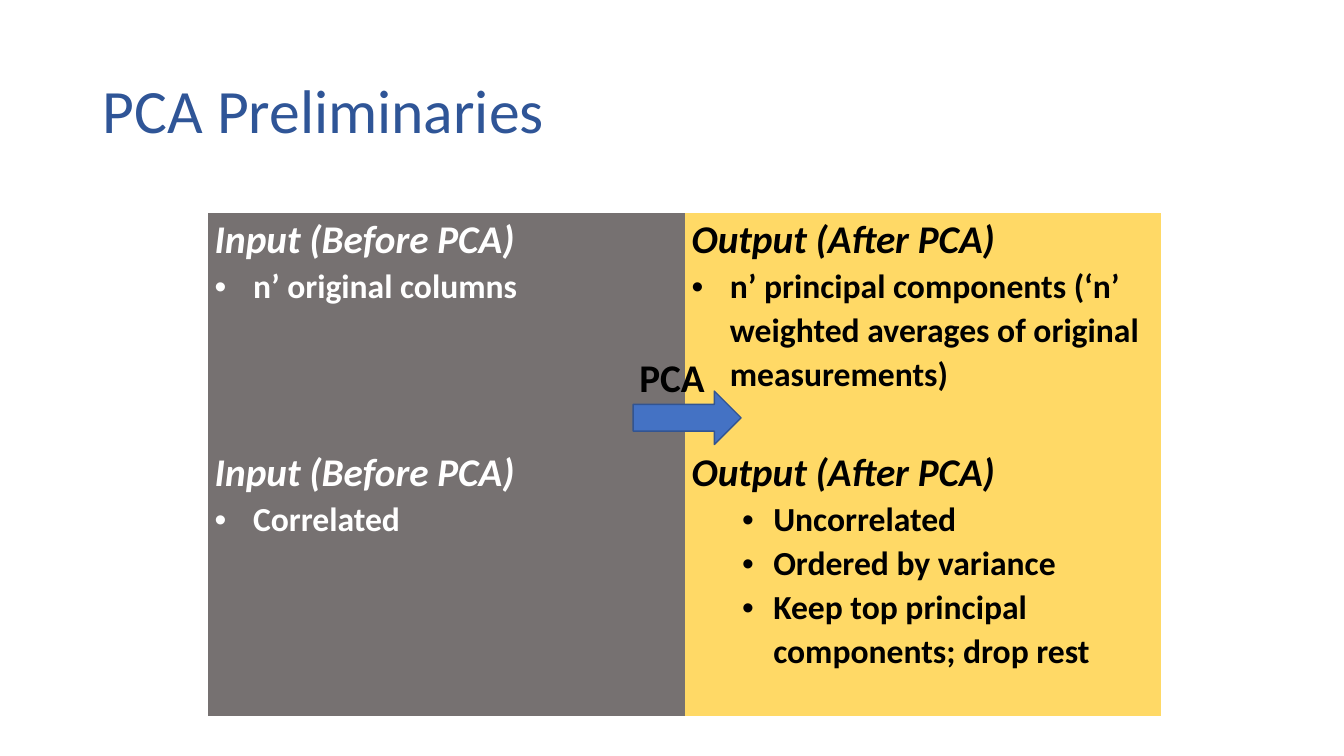
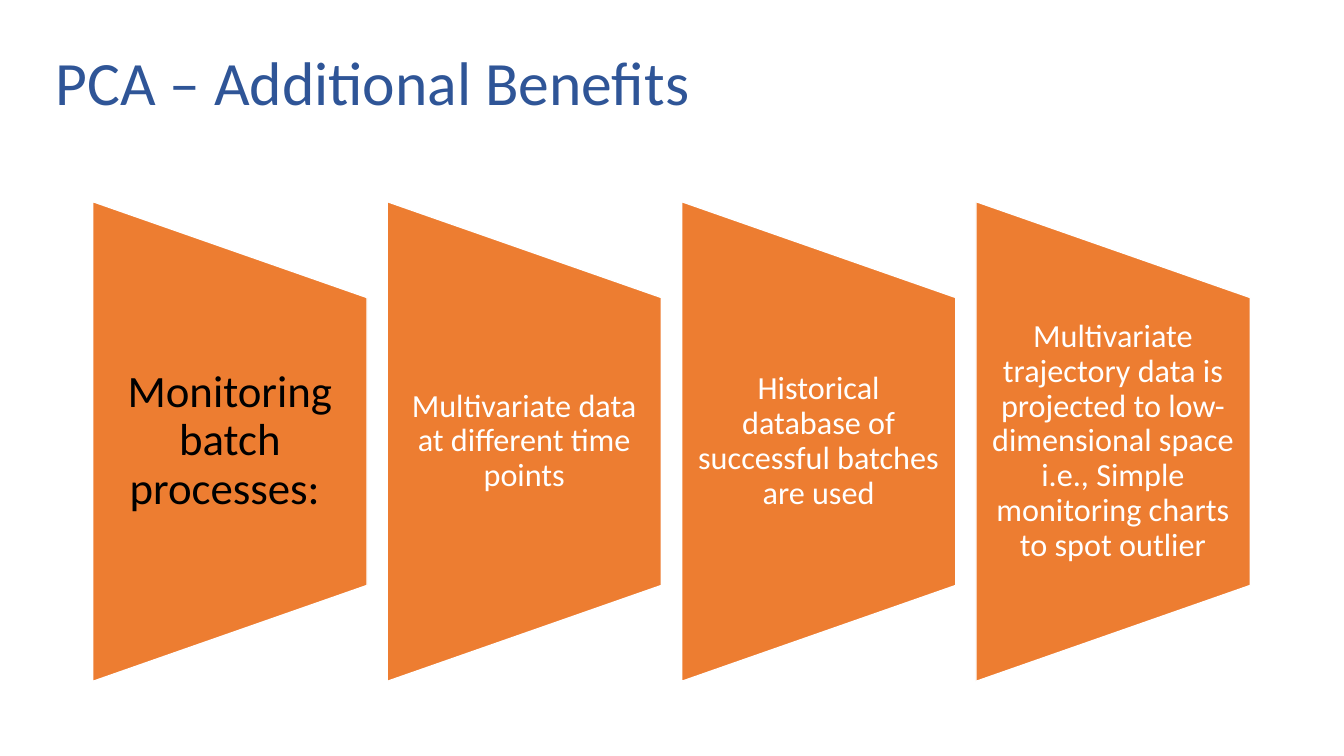
"""Build two slides on what goes into and comes out of PCA, and its benefits."""
from lxml import etree
from pptx import Presentation
from pptx import util as u
from pptx.dml.color import RGBColor
from pptx.enum import shapes, text
from pptx.oxml import ns

TITLE_BLUE = RGBColor(0x2F, 0x55, 0x97)
ARROW_BLUE = RGBColor(0x44, 0x72, 0xC4)
ARROW_EDGE = RGBColor(0x32, 0x54, 0x91)
GRAY = RGBColor(0x76, 0x71, 0x71)
YELLOW = RGBColor(0xFF, 0xD9, 0x66)
ORANGE = RGBColor(0xED, 0x7D, 0x31)
WHITE = RGBColor(0xFF, 0xFF, 0xFF)
BLACK = RGBColor(0, 0, 0)
NO_STYLE = "{2D5ABB26-0587-4C30-8999-92F81FD0307C}"

prs = Presentation()
prs.slide_width, prs.slide_height = u.Inches(13.33), u.Inches(7.5)


def write(paragraph, words, size, color, spacing=0.9, align=text.PP_ALIGN.LEFT, **styles):
    """Fill a paragraph with one formatted run."""
    paragraph.alignment, paragraph.line_spacing = align, spacing
    run = paragraph.add_run()
    run.text = words
    run.font.color.rgb = color
    for name, value in {"name": "Calibri", "size": u.Pt(size), **styles}.items():
        setattr(run.font, name, value)


def titled_slide(words, left, top, height):
    """Add a slide with the shared title style."""
    slide = prs.slides.add_slide(prs.slide_layouts[5])
    title = slide.shapes.title
    box = {"left": left, "top": top, "width": 11.5, "height": height}
    for name, value in box.items():
        setattr(title, name, u.Inches(value))
    title.text_frame.vertical_anchor = text.MSO_ANCHOR.MIDDLE
    write(title.text_frame.paragraphs[0], words, 44, TITLE_BLUE)
    return slide


preliminaries = titled_slide("PCA Preliminaries", 0.92, 0.4, 1.45)
comparison = preliminaries.shapes.add_table(
    2, 2, u.Inches(2.06), u.Inches(2.11), u.Inches(9.46), u.Inches(4.99)).table
comparison.first_row = comparison.horz_banding = False
comparison._tbl.tblPr.find(ns.qn("a:tableStyleId")).text = NO_STYLE
for row, height in zip(comparison.rows, (2.31, 2.68)):
    row.height = u.Inches(height)

sides = [("Input (Before PCA)", GRAY, WHITE), ("Output (After PCA)", YELLOW, BLACK)]
points = [
    [["n’ original columns"],
     ["n’ principal components (‘n’ weighted averages of original measurements)"]],
    [["Correlated"],
     ["Uncorrelated", "Ordered by variance", "Keep top principal components; drop rest"]],
]
cell_format = {"margin_left": u.Inches(0.07), "margin_right": u.Inches(0.07),
               "margin_top": 0, "margin_bottom": 0}
for row, row_points in enumerate(points):
    for column, (heading, fill, ink) in enumerate(sides):
        cell = comparison.cell(row, column)
        for name, value in cell_format.items():
            setattr(cell, name, value)
        cell.fill.solid()
        cell.fill.fore_color.rgb = fill
        write(cell.text_frame.paragraphs[0], heading, 28, ink, 1.07, bold=True, italic=True)
        nested = len(row_points[column]) > 1
        indent, hanging = (0.81, 0.31) if nested else (0.38, 0.38)
        for point in row_points[column]:
            bullet = cell.text_frame.add_paragraph()
            bullet.level = int(nested)
            write(bullet, point, 24, ink, 1.07, bold=True)
            properties = bullet._p.get_or_add_pPr()
            properties.set("marL", str(u.Inches(indent)))
            properties.set("indent", str(-u.Inches(hanging)))
            etree.SubElement(properties, ns.qn("a:buFont"), typeface="Arial")
            etree.SubElement(properties, ns.qn("a:buChar"), char="•")

arrow = preliminaries.shapes.add_shape(
    shapes.MSO_SHAPE.RIGHT_ARROW, u.Inches(6.28), u.Inches(3.88), u.Inches(1.07), u.Inches(0.53))
arrow.shadow.inherit = False
arrow.fill.solid()
arrow.fill.fore_color.rgb = ARROW_BLUE
arrow.line.color.rgb = ARROW_EDGE
arrow.line.width = u.Pt(1)
arrow_label = preliminaries.shapes.add_textbox(
    u.Inches(6.13), u.Inches(3.46), u.Inches(1.07), u.Inches(0.57)).text_frame
arrow_label.word_wrap = True
write(arrow_label.paragraphs[0], "PCA", 28, BLACK, 1.0, text.PP_ALIGN.CENTER, bold=True)

benefits = titled_slide("PCA – Additional Benefits", 0.45, 0.27, 1.15)
steps = [
    ("Monitoring batch processes: ", 32, BLACK, 0.22),
    ("Multivariate data at different time points", 23, WHITE, 0.16),
    ("Historical database of successful batches are used", 23, WHITE, 0.16),
    ("Multivariate trajectory data is projected to low-dimensional space i.e., "
     "Simple monitoring charts to spot outlier", 23, WHITE, 0.16),
]
PANEL_WIDTH, PANEL_HEIGHT, PANEL_PITCH, MIDDLE = 2.72, 4.76, 2.92, 4.38
for index, (words, size, ink, margin) in enumerate(steps):
    left = 0.92 + index * PANEL_PITCH
    panel = benefits.shapes.add_shape(
        shapes.MSO_SHAPE.FLOWCHART_MANUAL_OPERATION,
        u.Inches(left + (PANEL_WIDTH - PANEL_HEIGHT) / 2), u.Inches(MIDDLE - PANEL_WIDTH / 2),
        u.Inches(PANEL_HEIGHT), u.Inches(PANEL_WIDTH))
    panel.rotation = 270
    panel.shadow.inherit = False
    panel.fill.solid()
    panel.fill.fore_color.rgb = ORANGE
    panel.line.color.rgb = WHITE
    panel.line.width = u.Pt(1)
    caption = benefits.shapes.add_textbox(
        u.Inches(left), u.Inches(2.95), u.Inches(PANEL_WIDTH), u.Inches(2.86)).text_frame
    caption_format = {"word_wrap": True, "vertical_anchor": text.MSO_ANCHOR.MIDDLE,
                      "margin_left": u.Inches(margin), "margin_right": u.Inches(margin),
                      "margin_top": 0, "margin_bottom": 0}
    for name, value in caption_format.items():
        setattr(caption, name, value)
    write(caption.paragraphs[0], words, size, ink, align=text.PP_ALIGN.CENTER)

prs.save("out.pptx")
